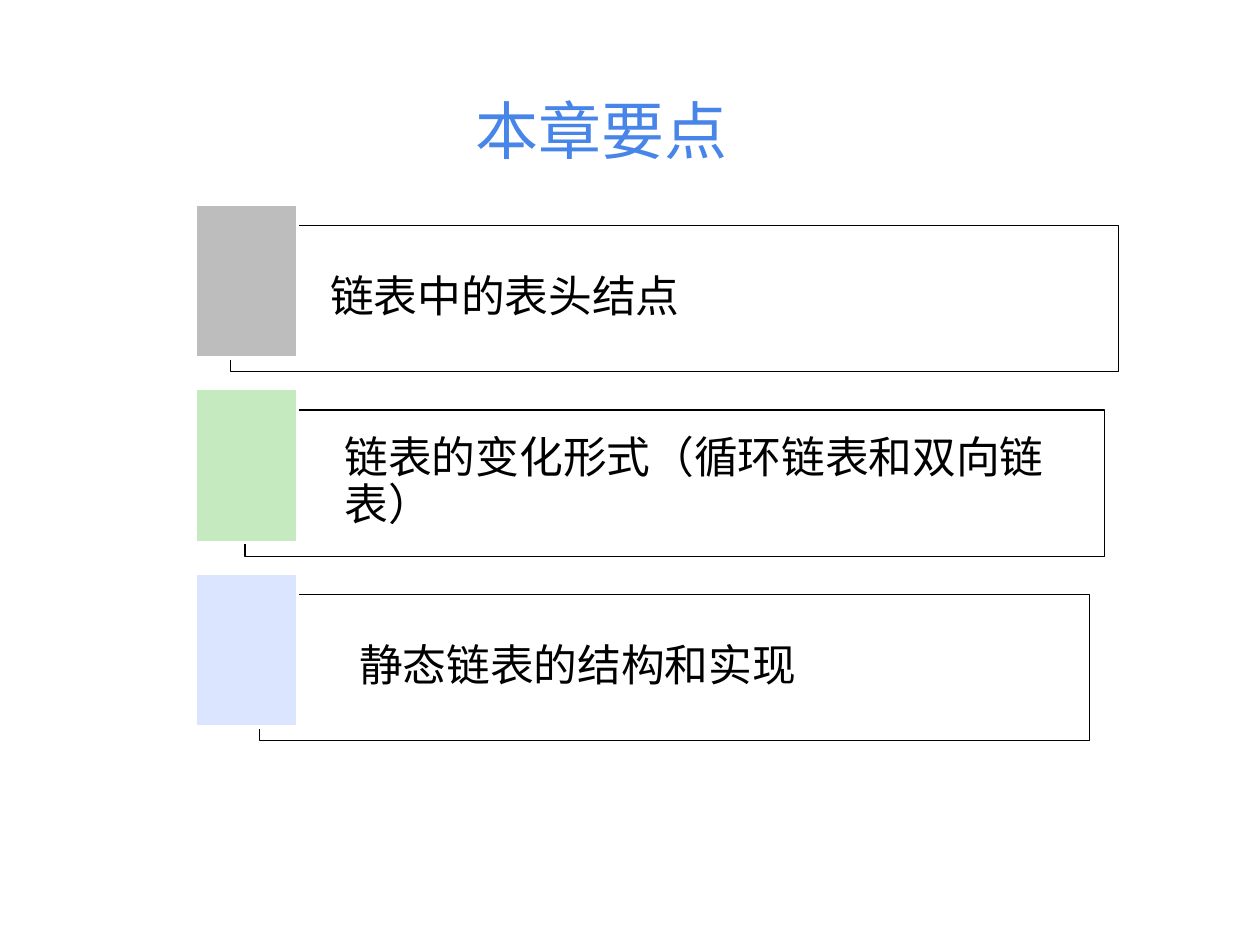
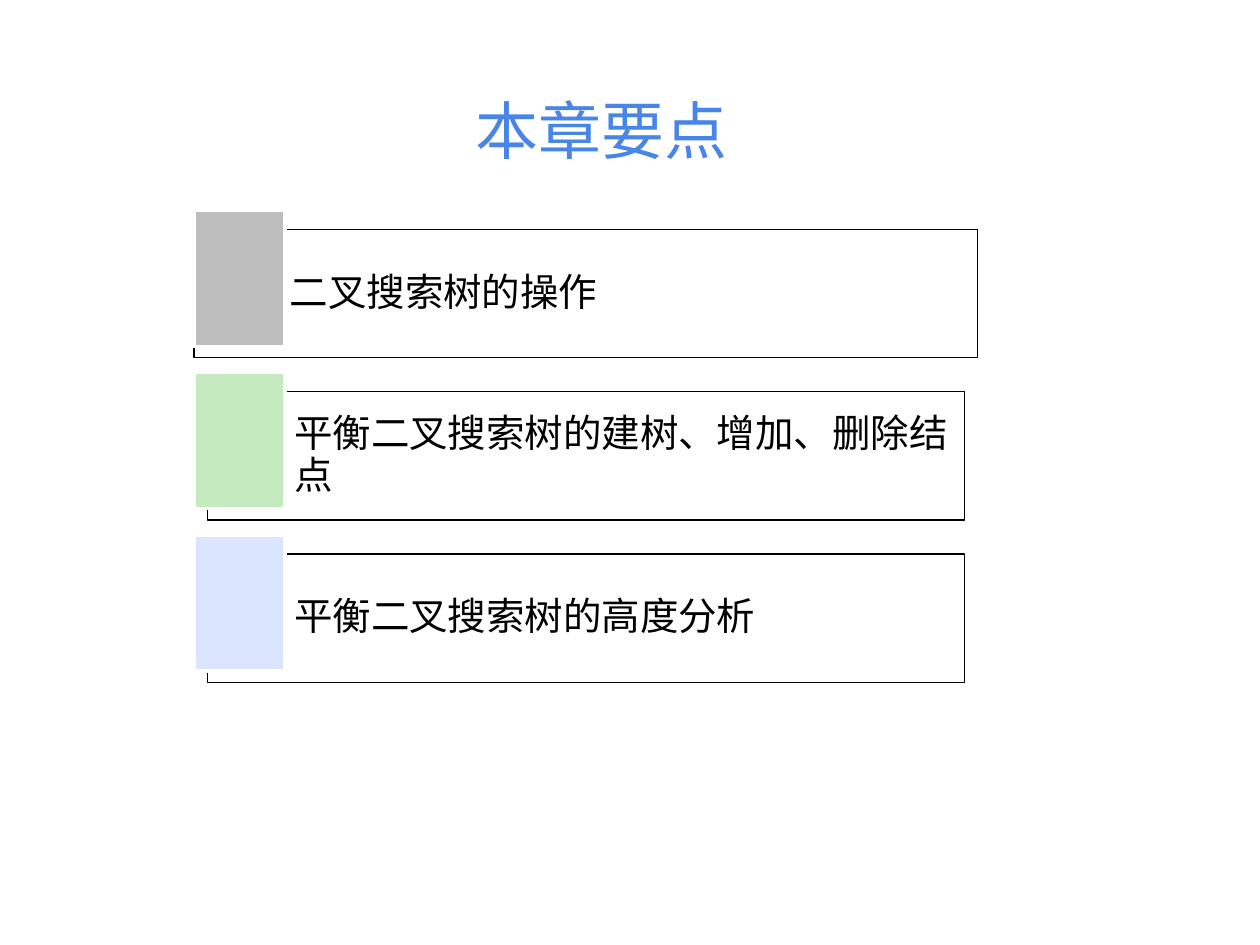
from lxml.etree import SubElement
from pptx import Presentation
from pptx.dml.color import RGBColor
from pptx.enum.shapes import MSO_SHAPE as Shape
from pptx.enum.text import MSO_ANCHOR as Anchor, PP_ALIGN as Align
from pptx.oxml.ns import qn
from pptx.util import Inches, Pt

COLUMNS, ROWS = 100, 75
TITLE = "本章要点"


def color(value):
    return RGBColor.from_string(value)


class Deck:
    font = "Times New Roman"
    title_color, ink, paper = "4885E9", "000000", "FFFFFF"
    tile_colors = ("BDBDBD", "C5EAC0", "DBE5FF")

    def __init__(self):
        self.presentation = Presentation()
        self.presentation.slide_width = Inches(10)
        self.presentation.slide_height = Inches(7.5)
        self.slide = None

    def add_slide(self):
        layout = self.presentation.slide_layouts[6]
        self.slide = self.presentation.slides.add_slide(layout)

    def across(self, columns):
        return round(self.presentation.slide_width * columns / COLUMNS)

    def down(self, rows):
        return round(self.presentation.slide_height * rows / ROWS)

    def place(self, left, top, width, height):
        return self.across(left), self.down(top), self.across(width), self.down(height)

    def set_text(self, shape, text, size, ink, align):
        frame = shape.text_frame
        frame.word_wrap = True
        frame.text = text
        paragraph = frame.paragraphs[0]
        paragraph.alignment = align
        font = paragraph.runs[0].font
        font.name, font.size = self.font, Pt(size)
        font.color.rgb = color(ink)
        return paragraph

    def title(self, text):
        shape = self.slide.shapes.add_textbox(*self.place(1.2, 6.8, 93.1, 8.2))
        self.set_text(shape, text, 36, self.title_color, Align.CENTER)

    def rectangle(self, area, fill, line, line_width):
        shape = self.slide.shapes.add_shape(Shape.RECTANGLE, *self.place(*area))
        shape.shadow.inherit = False
        shape.fill.solid()
        shape.fill.fore_color.rgb = color(fill)
        shape.line.color.rgb = color(line)
        shape.line.width = Pt(line_width)
        return shape

    def box(self, area, text, size, indent, margin):
        shape = self.rectangle(area, self.paper, self.ink, 0.75)
        fill = shape.element.spPr.find(qn("a:solidFill")).find(qn("a:srgbClr"))
        SubElement(fill, qn("a:alpha")).set("val", "40000")
        paragraph = self.set_text(shape, text, size, self.ink, Align.LEFT)
        paragraph.line_spacing = 0.9
        frame = shape.text_frame
        frame.vertical_anchor = Anchor.MIDDLE
        frame.margin_left = self.across(indent)
        frame.margin_right = self.across(margin)
        frame.margin_top = frame.margin_bottom = self.down(margin)

    def key_points(self, points, box, tile, pitch, step, size, margin):
        left, top, width, height = box
        tile_left, tile_top, tile_width, tile_height = tile
        for row, ((text, level, indent), fill) in enumerate(zip(points, self.tile_colors)):
            inset, drop = level * step, row * pitch
            area = left + inset, top + drop, width - 2 * inset, height
            self.box(area, text, size, indent, margin)
            self.rectangle((tile_left, tile_top + drop, tile_width, tile_height),
                           fill, self.paper, 2)


def main():
    deck = Deck()

    deck.add_slide()
    deck.key_points(
        [("链表中的表头结点", 0, 7.9),
         ("链表的变化形式（循环链表和双向链表）", 1, 7.9),
         ("静态链表的结构和实现", 2, 7.9)],
        box=(18.3, 17.9, 70.5, 11.6), tile=(15.5, 16.2, 8.1, 12.2),
        pitch=14.65, step=1.15, size=25, margin=1)
    deck.title(TITLE)

    deck.add_slide()
    deck.key_points(
        [("二叉搜索树的操作", 0, 7.6),
         ("平衡二叉搜索树的建树、增加、删除结点", 1, 6.9),
         ("平衡二叉搜索树的高度分析", 1, 6.9)],
        box=(15.4, 18.2, 62.2, 10.2), tile=(15.4, 16.7, 7.2, 10.8),
        pitch=12.88, step=1.05, size=22, margin=0.9)
    deck.title(TITLE)

    deck.presentation.save("out.pptx")


if __name__ == "__main__":
    main()
